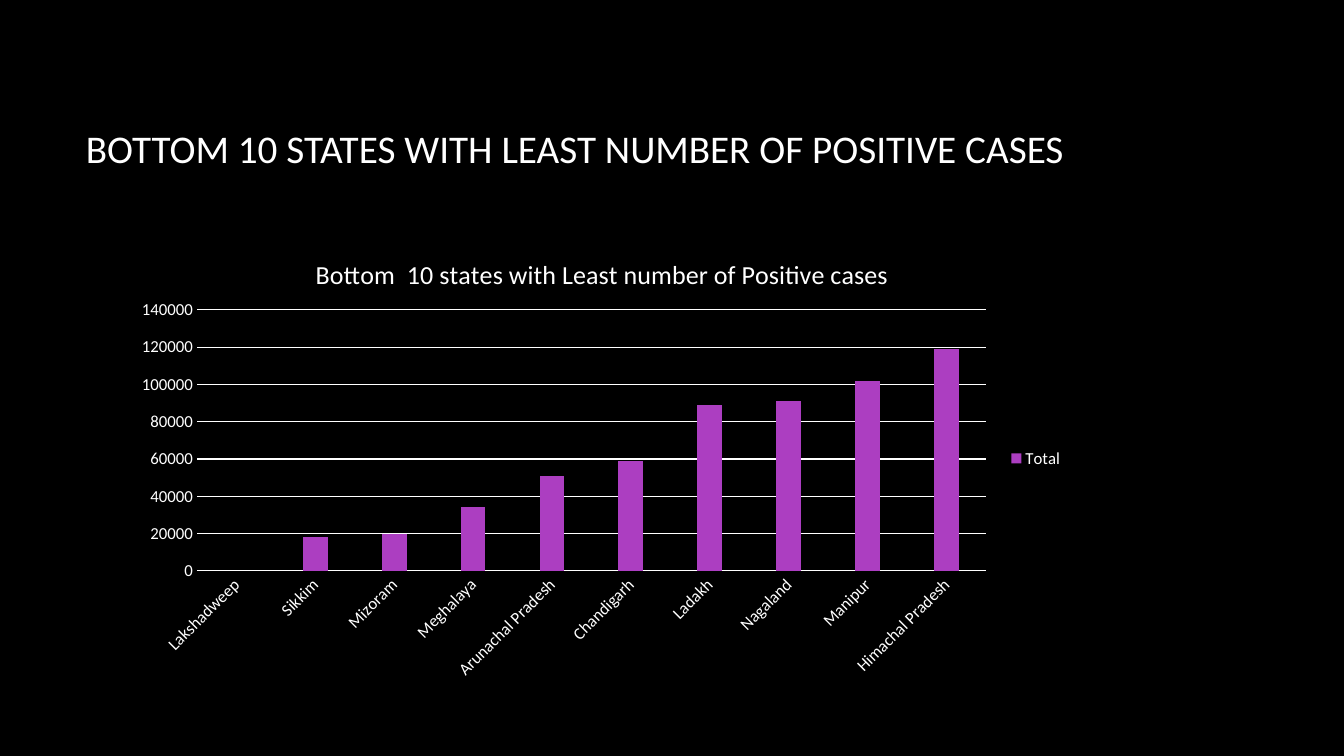
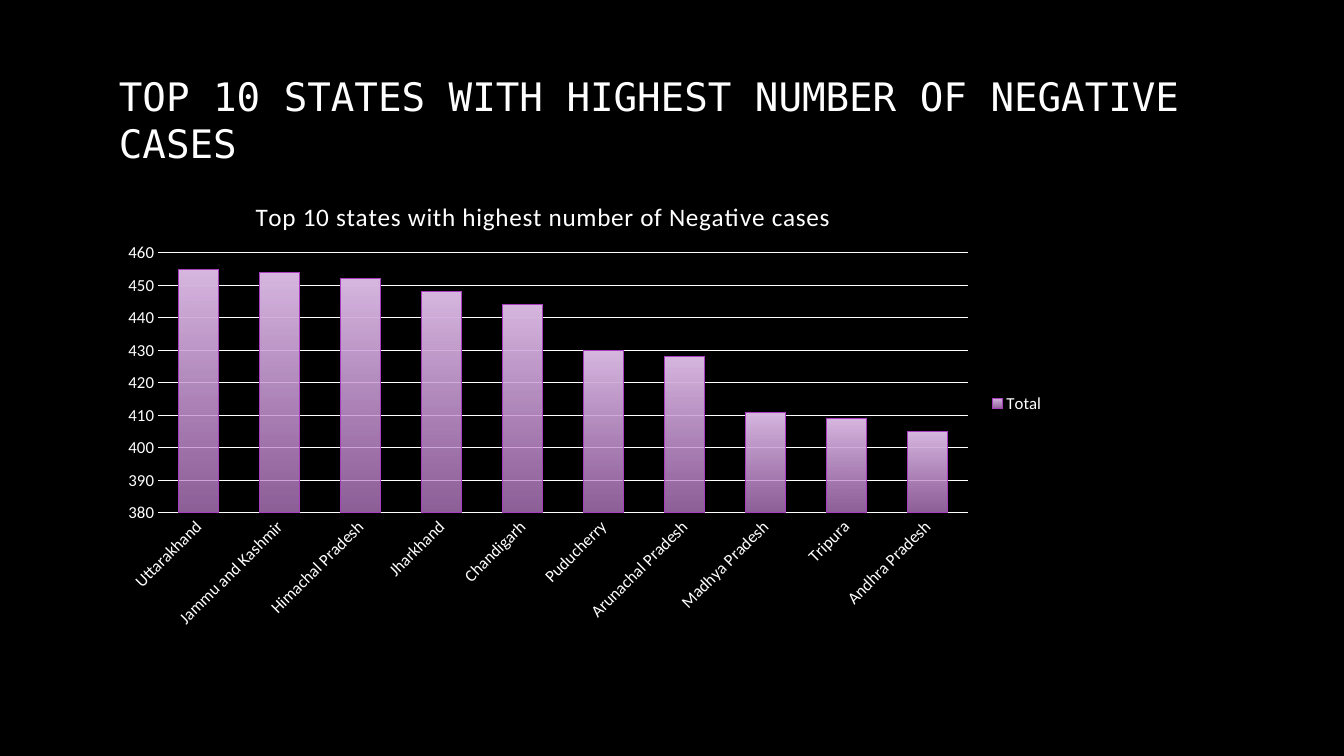
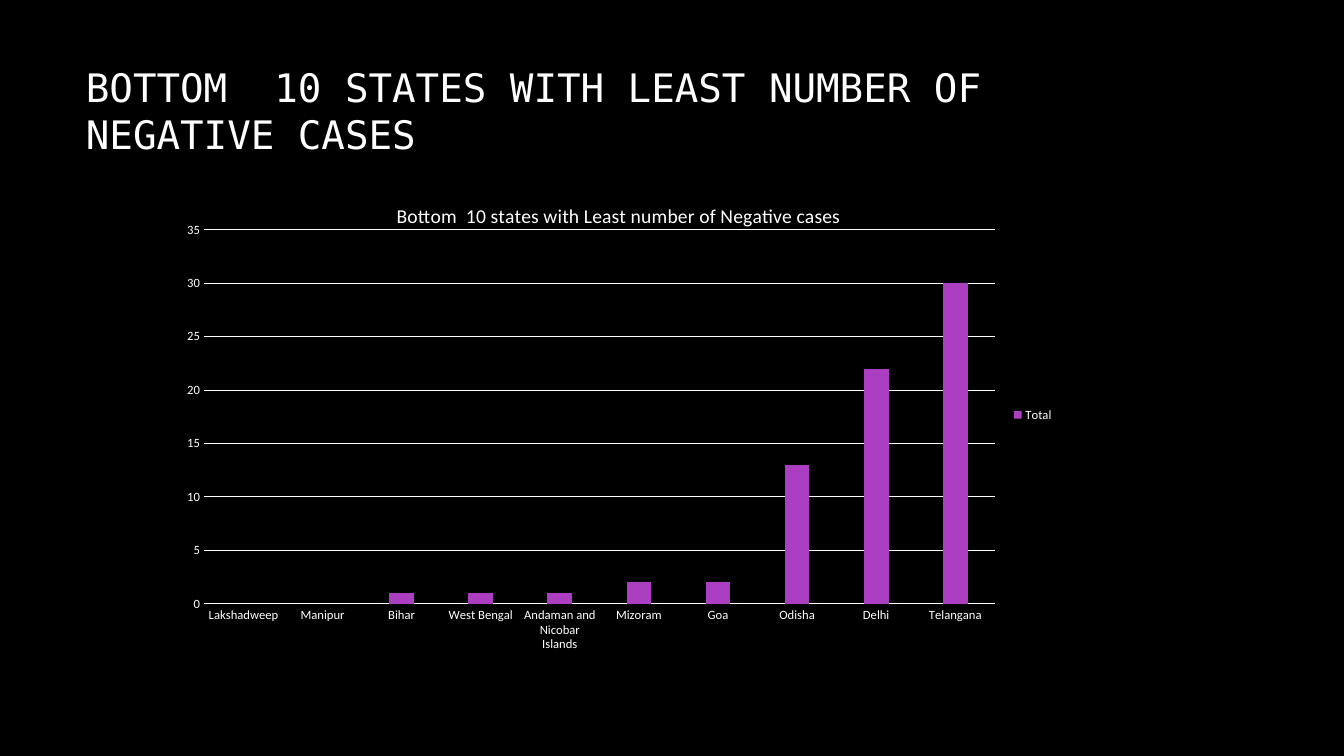
from pptx import Presentation
from pptx.chart.data import CategoryChartData
from pptx.dml.color import RGBColor
from pptx.enum.chart import XL_CHART_TYPE, XL_LEGEND_POSITION, XL_TICK_MARK
from pptx.enum.text import MSO_ANCHOR
from pptx.oxml import parse_xml
from pptx.oxml.ns import nsdecls, qn
from pptx.oxml.xmlchemy import OxmlElement
from pptx.util import Pt

PX = 914400 / 100.8
WHITE, BLACK, PURPLE = "FFFFFF", "000000", "AC3EC1"
CHART_FONT, CODE_FONT = "Calibri", "DejaVu Sans Mono"


def write_text(frame, text, size, font=CHART_FONT, color=WHITE, spacing=0):
    paragraph = frame.paragraphs[0]
    run = paragraph.add_run()
    run.text = text
    run.font.size = Pt(size)
    run.font.name = font
    run.font.bold = False
    run.font.color.rgb = RGBColor.from_string(color)
    if spacing:
        run.font._element.set("spc", str(spacing))


def place(element, index, target, **fractions):
    for layout in element.findall(qn("c:layout")):
        element.remove(layout)
    modes = "".join(f'<c:{axis}Mode val="edge"/>' for axis in "xy")
    values = "".join(f'<c:{name} val="{value:.4f}"/>' for name, value in fractions.items())
    element.insert(index, parse_xml(
        f'<c:layout {nsdecls("c")}><c:manualLayout>{target}{modes}{values}'
        "</c:manualLayout></c:layout>"))


slides = [
    dict(
        heading="BOTTOM 10 STATES WITH LEAST NUMBER OF POSITIVE CASES",
        heading_box=(76, 68, 1117, 160), heading_font=CHART_FONT,
        title="Bottom  10 states with Least number of Positive cases",
        title_at=(311, 251), title_size=18.6, title_spacing=0,
        chart_box=(122, 228, 952, 461), plot_box=(197, 310, 789, 261),
        size=12, rotation=-45, gap=219, overlap=-27, gradient=False,
        scale=(0, 140000, 20000),
        values={"Lakshadweep": None, "Sikkim": 18000, "Mizoram": 20000,
                "Meghalaya": 34000, "Arunachal Pradesh": 51000,
                "Chandigarh": 59000, "Ladakh": 89000, "Nagaland": 91000,
                "Manipur": 102000, "Himachal Pradesh": 119000},
    ),
    dict(
        heading="TOP 10 STATES WITH HIGHEST NUMBER OF NEGATIVE CASES",
        heading_box=(109, 68, 1084, 103), heading_font=CODE_FONT,
        title="Top 10 states with highest number of Negative cases",
        title_at=(251, 195), title_size=18, title_spacing=50,
        chart_box=(109, 170, 946, 467), plot_box=(158, 253, 810, 260),
        size=12, rotation=-45, gap=100, overlap=-24, gradient=True,
        scale=(380, 460, 10),
        values={"Uttarakhand": 455, "Jammu and Kashmir": 454,
                "Himachal Pradesh": 452, "Jharkhand": 448, "Chandigarh": 444,
                "Puducherry": 430, "Arunachal Pradesh": 428,
                "Madhya Pradesh": 411, "Tripura": 409, "Andhra Pradesh": 405},
    ),
    dict(
        heading="BOTTOM  10 STATES WITH LEAST NUMBER OF NEGATIVE CASES",
        heading_box=(76, 68, 1117, 85), heading_font=CODE_FONT,
        title="Bottom  10 states with Least number of Negative cases",
        title_at=(393, 199), title_size=14, title_spacing=0,
        chart_box=(167, 178, 897, 474), plot_box=(204, 230, 791, 374),
        size=9, rotation=0, gap=219, overlap=-27, gradient=False,
        scale=(0, 35, 5),
        values={"Lakshadweep": None, "Manipur": None, "Bihar": 1,
                "West Bengal": 1, "Andaman and Nicobar Islands": 1,
                "Mizoram": 2, "Goa": 2, "Odisha": 13, "Delhi": 22,
                "Telangana": 30},
    ),
]

presentation = Presentation()
presentation.slide_width = round(1344 * PX)
presentation.slide_height = round(756 * PX)

for content in slides:
    slide = presentation.slides.add_slide(presentation.slide_layouts[6])
    slide.background.fill.solid()
    slide.background.fill.fore_color.rgb = RGBColor.from_string(BLACK)

    heading = slide.shapes.add_textbox(*[round(n * PX) for n in content["heading_box"]])
    heading.text_frame.word_wrap = True
    heading.text_frame.vertical_anchor = MSO_ANCHOR.MIDDLE
    write_text(heading.text_frame, content["heading"], 28, font=content["heading_font"])

    data = CategoryChartData()
    data.categories = list(content["values"])
    data.add_series("Total", list(content["values"].values()))
    chart = slide.shapes.add_chart(
        XL_CHART_TYPE.COLUMN_CLUSTERED,
        *[round(n * PX) for n in content["chart_box"]], data).chart
    chart.font.name = CHART_FONT
    chart.font.size = Pt(content["size"])
    chart.font.color.rgb = RGBColor.from_string(WHITE)

    left, top, width, height = content["chart_box"]
    title_x, title_y = content["title_at"]
    plot_x, plot_y, plot_w, plot_h = content["plot_box"]
    chart.has_title = True
    write_text(chart.chart_title.text_frame, content["title"], content["title_size"],
               spacing=content["title_spacing"])
    place(chart.chart_title._element, 1, "",
          x=(title_x - left) / width, y=(title_y - top) / height)
    place(chart._chartSpace.chart.plotArea, 0, '<c:layoutTarget val="inner"/>',
          x=(plot_x - left) / width, y=(plot_y - top) / height,
          w=plot_w / width, h=plot_h / height)

    chart.has_legend = True
    chart.legend.position = XL_LEGEND_POSITION.RIGHT
    chart.legend.include_in_layout = False

    category_axis, value_axis = chart.category_axis, chart.value_axis
    for axis in (category_axis, value_axis):
        axis.major_tick_mark = axis.minor_tick_mark = XL_TICK_MARK.NONE
        axis.tick_labels.font.size = Pt(content["size"])
        axis.tick_labels.font.name = CHART_FONT
        axis.tick_labels.font.color.rgb = RGBColor.from_string(WHITE)
    value_axis.format.line.fill.background()
    for line in (category_axis.format.line, value_axis.major_gridlines.format.line):
        line.color.rgb = RGBColor.from_string(WHITE)
        line.width = Pt(0.75)
    value_axis.minimum_scale, value_axis.maximum_scale, value_axis.major_unit = content["scale"]
    label_body = category_axis._element.find(qn("c:txPr")).find(qn("a:bodyPr"))
    label_body.set("rot", str(content["rotation"] * 60000))
    label_body.set("vert", "horz")

    plot = chart.plots[0]
    plot.vary_by_categories = False
    plot.gap_width = content["gap"]
    plot.overlap = content["overlap"]
    bars = plot.series[0].format
    if content["gradient"]:
        bars.fill.gradient()
        bars.fill.gradient_angle = 270
        for stop, color in zip(bars.fill.gradient_stops, ("D8B7E1", "BF82CE")):
            stop.color.rgb = RGBColor.from_string(color)
        alpha = OxmlElement("a:alpha")
        alpha.set("val", "74000")
        stop._element = stop._gs
        stop._gs.find(qn("a:srgbClr")).append(alpha)
        bars.line.color.rgb = RGBColor.from_string("A83DBD")
        bars.line.width = Pt(0.75)
    else:
        bars.fill.solid()
        bars.fill.fore_color.rgb = RGBColor.from_string(PURPLE)

presentation.save("out.pptx")
